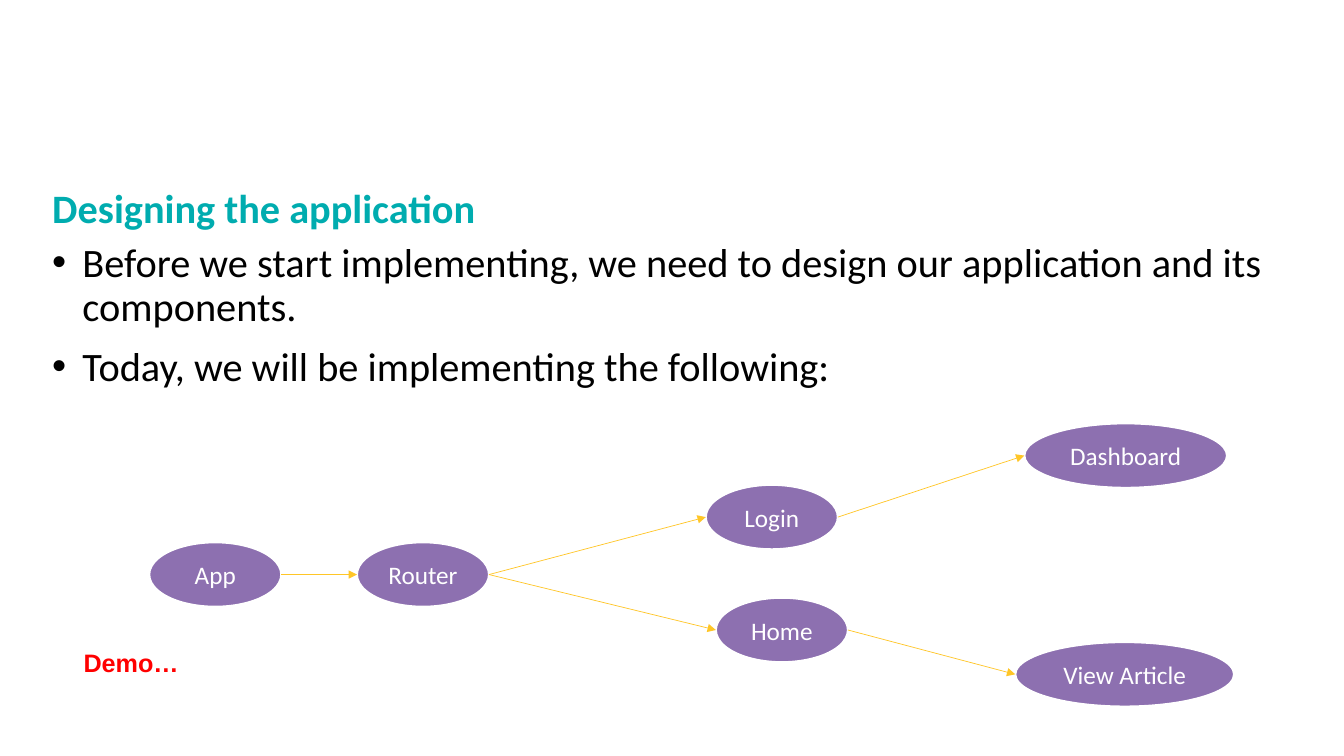
import pptx
import pptx.util
import pptx.dml.color
import pptx.enum.shapes
import pptx.enum.text
import pptx.oxml

PX = 9144
ALIGN = pptx.enum.text.PP_ALIGN
ANCHOR = pptx.enum.text.MSO_ANCHOR
NS = 'xmlns:a="http://schemas.openxmlformats.org/drawingml/2006/main"'


def rgb(value):
    return pptx.dml.color.RGBColor.from_string(value)


def write(sp, lines, size, font, color, bold=False, anchor=ANCHOR.TOP, **para):
    tf = sp.text_frame
    tf.word_wrap = True
    tf.vertical_anchor = anchor
    for i, line in enumerate(lines):
        p = tf.paragraphs[0] if i == 0 else tf.add_paragraph()
        for name, value in para.items():
            setattr(p, name, value)
        r = p.add_run()
        r.text = line
        for name, value in {"size": pptx.util.Pt(size), "name": font, "bold": bold}.items():
            setattr(r.font, name, value)
        r.font.color.rgb = rgb(color)


prs = pptx.Presentation()
prs.slide_width, prs.slide_height = 1333 * PX, 750 * PX
s = prs.slides.add_slide(prs.slide_layouts[6])

title = s.shapes.add_textbox(42 * PX, 181 * PX, 1150 * PX, 55 * PX)
write(title, ["Designing the application"], 28.8, "Calibri", "00ACAF", True,
      ANCHOR.MIDDLE, line_spacing=0.9)

body = s.shapes.add_textbox(42 * PX, 235 * PX, 1250 * PX, 405 * PX)
points = [
    "Before we start implementing, we need to design our application and its components.",
    "Today, we will be implementing the following:",
]
write(body, points, 28.8, "Calibri", "000000",
      line_spacing=pptx.util.Pt(31.2), space_before=pptx.util.Pt(12))
for p in body.text_frame.paragraphs:
    pPr = p._p.get_or_add_pPr()
    pPr.set("marL", str(30 * PX))
    pPr.set("indent", str(-30 * PX))
    pPr.append(pptx.oxml.parse_xml(f'<a:buFont {NS} typeface="Arial"/>'))
    pPr.append(pptx.oxml.parse_xml(f'<a:buChar {NS} char="•"/>'))

nodes = {
    "App": (148, 538, 131),
    "Router": (354, 538, 131),
    "Login": (700, 481, 131),
    "Home": (710, 593, 131),
    "Dashboard": (1016, 420, 201),
    "View Article": (1007, 637, 217),
}
ovals = {}
for name, (x, y, w) in nodes.items():
    sp = s.shapes.add_shape(pptx.enum.shapes.MSO_SHAPE.OVAL, x * PX, y * PX, w * PX, 64 * PX)
    sp.shadow.inherit = False
    sp.fill.solid()
    sp.fill.fore_color.rgb = rgb("8D70B0")
    sp.line.color.rgb = rgb("FFFFFF")
    sp.line.width = pptx.util.Pt(1.5)
    write(sp, [name], 18, "Calibri", "FFFFFF", anchor=ANCHOR.MIDDLE, alignment=ALIGN.CENTER)
    ovals[name] = sp

links = [("App", "Router"), ("Router", "Login"), ("Router", "Home"),
         ("Login", "Dashboard"), ("Home", "View Article")]
for start, end in links:
    a, b = ovals[start], ovals[end]
    cxn = s.shapes.add_connector(
        pptx.enum.shapes.MSO_CONNECTOR.STRAIGHT,
        a.left + a.width, a.top + a.height // 2, b.left, b.top + b.height // 2)
    cxn.line.color.rgb = rgb("FFC627")
    cxn.line.width = pptx.util.Pt(0.5)
    cxn.line._get_or_add_ln().append(pptx.oxml.parse_xml(f'<a:tailEnd {NS} type="triangle"/>'))
    cxn._element.spPr.append(pptx.oxml.parse_xml(f"<a:effectLst {NS}/>"))

demo = s.shapes.add_textbox(73 * PX, 637 * PX, 352 * PX, 40 * PX)
write(demo, ["Demo…"], 18, "Arial", "FF0000", True)
demo.text_frame.auto_size = pptx.enum.text.MSO_AUTO_SIZE.SHAPE_TO_FIT_TEXT

prs.save("out.pptx")
